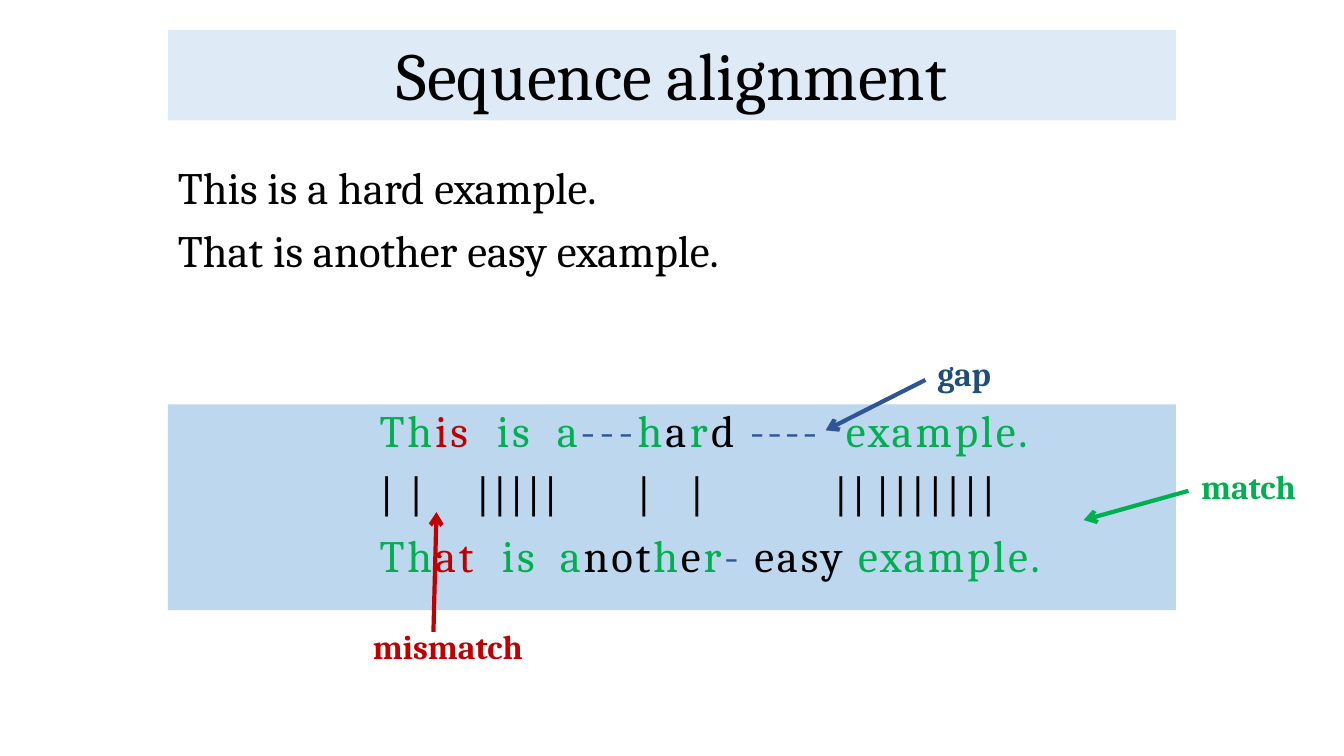
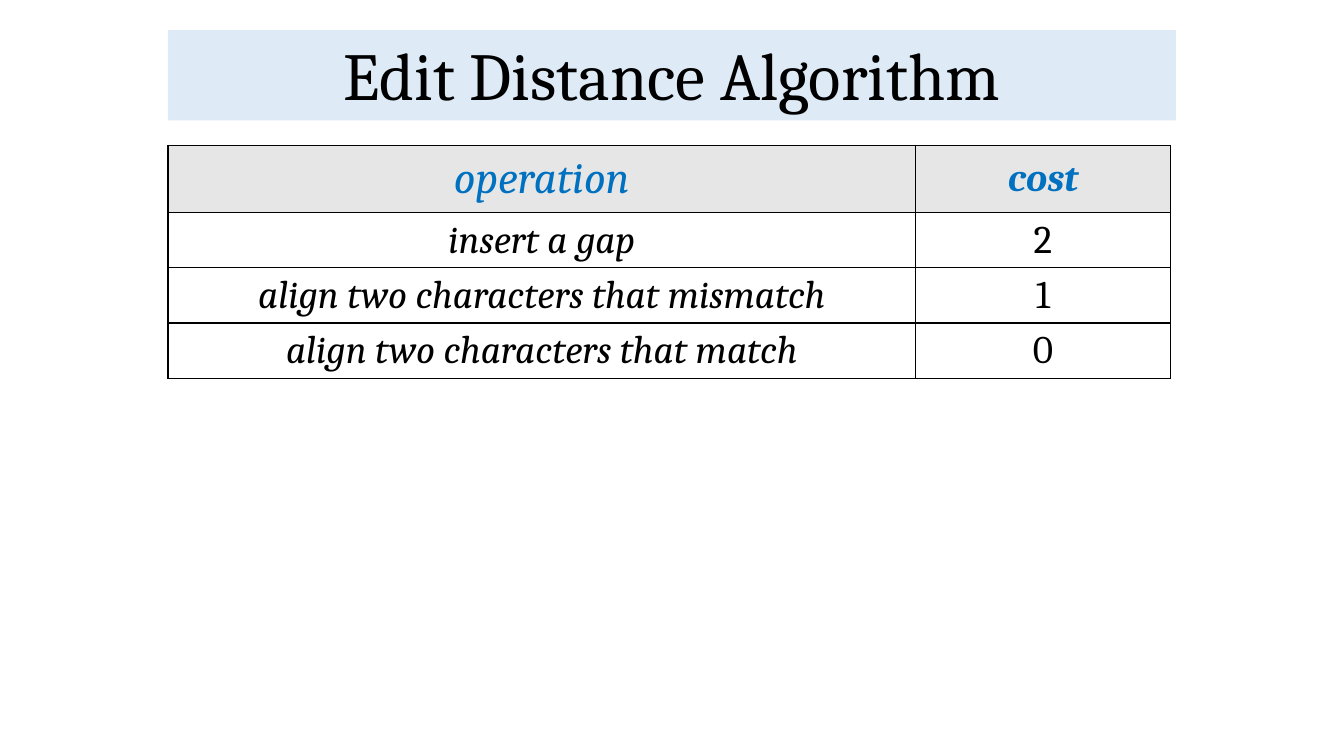
"""Build two slides on sequence alignment and edit distance."""
from lxml.etree import SubElement
from pptx import Presentation
from pptx.dml.color import RGBColor
from pptx.enum.shapes import MSO_CONNECTOR, MSO_SHAPE
from pptx.enum.text import MSO_ANCHOR, MSO_AUTO_SIZE, PP_ALIGN
from pptx.oxml.ns import qn
from pptx.util import Pt

COLORS = {
    "title band": "DEEBF7", "alignment band": "BDD7EE", "header": "E7E6E6",
    "white": "FFFFFF", "black": "000000", "match": "00B050", "mismatch": "C00000",
    "gap": "2F5597", "gap label": "1F4E79", "heading": "0070C0",
}
FONT = "Cambria"
LEFT, WIDTH = 120, 720


def color(name):
    return RGBColor.from_string(COLORS[name])


def format_paragraph(paragraph, size, color_name="black", bold=False, italic=False):
    font = paragraph.font
    font.name, font.size, font.bold, font.italic = FONT, Pt(size), bold, italic
    font.color.rgb = color(color_name)


presentation = Presentation()
presentation.slide_width, presentation.slide_height = Pt(960), Pt(540)

slides = []
for title_text in ("Sequence alignment", "Edit Distance Algorithm"):
    slide = presentation.slides.add_slide(presentation.slide_layouts[5])
    title = slide.shapes.title
    title.left, title.top, title.width, title.height = Pt(LEFT), Pt(21.6), Pt(WIDTH), Pt(64.4)
    title.fill.solid()
    title.fill.fore_color.rgb = color("title band")
    title.text_frame.text = title_text
    title.text_frame.auto_size = MSO_AUTO_SIZE.NONE
    title.text_frame.vertical_anchor = MSO_ANCHOR.BOTTOM
    paragraph = title.text_frame.paragraphs[0]
    paragraph.alignment, paragraph.line_spacing = PP_ALIGN.CENTER, 0.9
    format_paragraph(paragraph, 48)
    slides.append(slide)
alignment_slide, cost_slide = slides

sentences = alignment_slide.shapes.add_textbox(Pt(LEFT), Pt(115.2), Pt(WIDTH), Pt(90))
sentences.text_frame.word_wrap = True
sentences.text_frame.text = "This is a hard example.\nThat is another easy example."
for index, paragraph in enumerate(sentences.text_frame.paragraphs):
    paragraph.line_spacing = 0.9
    paragraph.space_before = Pt(10 if index else 0)
    format_paragraph(paragraph, 32)

band = alignment_slide.shapes.add_shape(
    MSO_SHAPE.RECTANGLE, Pt(LEFT), Pt(288.8), Pt(WIDTH), Pt(147))
band.shadow.inherit = False
band.fill.solid()
band.fill.fore_color.rgb = color("alignment band")
band.line.fill.background()
frame = band.text_frame
frame.word_wrap, frame.vertical_anchor = True, MSO_ANCHOR.TOP
frame.margin_left = Pt(151.2)

alignment_rows = [
    ((83.7, 126.6, 333), [
        ("Th", "match", 2), ("is\t", "mismatch", 2), ("is\ta", "match", 2),
        ("---", "gap", 3), ("h", "match", 2), ("a", "black", 2.5), ("r", "match", 2.5),
        ("d ", "black", 2), ("----\t", "gap", 2), ("example.", "match", 2)]),
    ((68.7, 183.7, 221.6, 324.5), [
        ("| |\t|||||\t|\t|\t", "black", 2), ("|", "black", 2.5),
        ("| ", "black", 0), ("|||||||", "black", 2.5)]),
    ((87.3, 128.7), [
        ("Th", "match", 2), ("at\t", "mismatch", 2), ("is\ta", "match", 2),
        ("not", "black", 2), ("h", "match", 2), ("e", "black", 2), ("r", "match", 2),
        ("- ", "gap", 2), ("easy ", "black", 2), ("example.", "match", 2)]),
]
for index, (tab_stops, pieces) in enumerate(alignment_rows):
    paragraph = frame.paragraphs[0] if index == 0 else frame.add_paragraph()
    tab_list = SubElement(paragraph._p.get_or_add_pPr(), qn("a:tabLst"))
    for position in tab_stops:
        SubElement(tab_list, qn("a:tab"), pos=str(Pt(position)), algn="l")
    paragraph.alignment, paragraph.line_spacing = PP_ALIGN.LEFT, 0.9
    paragraph.space_before = Pt(10 if index else 0)
    format_paragraph(paragraph, 32)
    for text, color_name, spacing in pieces:
        run = paragraph.add_run()
        run.text = text
        run.font.color.rgb = color(color_name)
        run.font._element.set("spc", str(int(spacing * 100)))

callouts = [
    ("gap", "gap label", "gap", (636.5, 248.4, 104.4), (661, 271.4, 589.7, 307.4)),
    ("match", "match", "match", (845.3, 329, 92.9), (848.9, 350.6, 774, 371.5)),
    ("mismatch", "mismatch", "mismatch", (257.8, 443.5, 124), (309.6, 451.4, 311.8, 365.8)),
]
for text, text_color, line_color, (left, top, width), ends in callouts:
    label = alignment_slide.shapes.add_textbox(Pt(left), Pt(top), Pt(width), Pt(36.7))
    label.text_frame.word_wrap = True
    label.text_frame.text = text
    paragraph = label.text_frame.paragraphs[0]
    paragraph.alignment = PP_ALIGN.CENTER
    format_paragraph(paragraph, 24, text_color, bold=True)
    arrow = alignment_slide.shapes.add_connector(
        MSO_CONNECTOR.STRAIGHT, *[Pt(value) for value in ends])
    arrow.line.width = Pt(3)
    arrow.line.color.rgb = color(line_color)
    SubElement(arrow.line._get_or_add_ln(), qn("a:tailEnd"), type="arrow")
    SubElement(arrow._element.spPr, qn("a:effectLst"))

cost_rows = [
    ("operation", "cost"),
    ("insert a gap", "2"),
    ("align two characters that mismatch", "1"),
    ("align two characters that match", "0"),
]
table = cost_slide.shapes.add_table(
    len(cost_rows), 2, Pt(LEFT), Pt(103.7), Pt(716), Pt(166.5)).table
table.first_row = table.horz_banding = False
for column, width in zip(table.columns, (534, 182)):
    column.width = Pt(width)
for row_index, row_texts in enumerate(cost_rows):
    is_header = row_index == 0
    table.rows[row_index].height = Pt(48.3 if is_header else 39.4)
    for column_index, text in enumerate(row_texts):
        is_operation = column_index == 0
        cell = table.cell(row_index, column_index)
        cell.text = text
        cell.vertical_anchor = MSO_ANCHOR.MIDDLE
        cell.margin_top = cell.margin_bottom = 0
        paragraph = cell.text_frame.paragraphs[0]
        paragraph.alignment = PP_ALIGN.CENTER
        format_paragraph(
            paragraph, 32 if is_header and is_operation else 28,
            "heading" if is_header else "black",
            bold=is_header and not is_operation, italic=is_header or is_operation)
        properties = cell._tc.get_or_add_tcPr()
        for side in ("lnL", "lnR", "lnT", "lnB"):
            border = SubElement(properties, qn(f"a:{side}"), w=str(Pt(1)))
            border_fill = SubElement(border, qn("a:solidFill"))
            SubElement(border_fill, qn("a:srgbClr"), val=COLORS["black"])
        cell.fill.solid()
        cell.fill.fore_color.rgb = color("header" if is_header else "white")

presentation.save("out.pptx")
